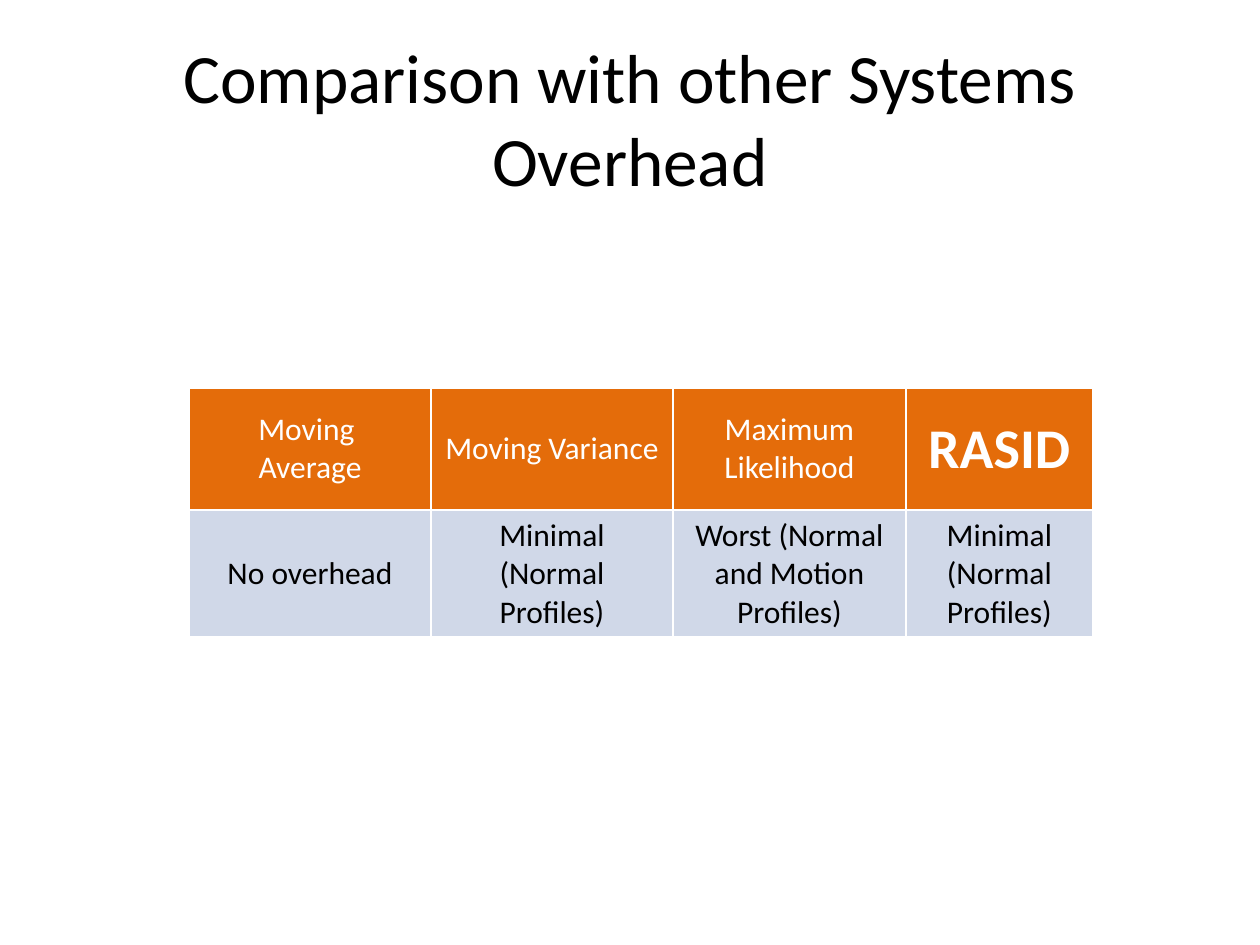
from lxml import etree
from pptx import Presentation
from pptx import util as u
from pptx.dml.color import RGBColor
from pptx.enum import text
from pptx.oxml.ns import qn

PX = u.Inches(1) // 126
COLORS = {"black": "000000", "white": "FFFFFF", "header": "E46C0A", "body": "D0D8E8"}


def style_text(frame, size, color, bold=False):
    frame.word_wrap = True
    frame.vertical_anchor = text.MSO_ANCHOR.MIDDLE
    for paragraph in frame.paragraphs:
        paragraph.alignment = text.PP_ALIGN.CENTER
        paragraph.font.name = "Calibri"
        paragraph.font.size = u.Pt(size)
        paragraph.font.bold = bold
        paragraph.font.color.rgb = RGBColor.from_string(COLORS[color])


def add_borders(cell, color, width):
    """Line all four sides; the lines must come before the cell's fill."""
    properties = cell._tc.get_or_add_tcPr()
    for index, side in enumerate(("lnL", "lnR", "lnT", "lnB")):
        line = etree.Element(qn(f"a:{side}"), w=str(u.Pt(width)))
        fill = etree.SubElement(line, qn("a:solidFill"))
        etree.SubElement(fill, qn("a:srgbClr"), val=COLORS[color])
        properties.insert(index, line)


deck = Presentation()
deck.slide_width = 1260 * PX
deck.slide_height = 945 * PX
page = deck.slides.add_slide(deck.slide_layouts[6])

title = page.shapes.add_textbox(63 * PX, 38 * PX, 1134 * PX, 158 * PX)
title.text_frame.text = "Comparison with other Systems\vOverhead"
style_text(title.text_frame, 39.6, "black")

rows = [
    ["Moving \vAverage", "Moving Variance", "Maximum Likelihood", "RASID"],
    ["No overhead", "Minimal (Normal Profiles)",
     "Worst (Normal and Motion Profiles)", "Minimal (Normal Profiles)"],
]
column_widths = [242, 242, 233, 187]
row_heights = [122, 127]

table = page.shapes.add_table(
    len(rows), len(column_widths), 189 * PX, 388 * PX,
    sum(column_widths) * PX, sum(row_heights) * PX,
).table
for column, width in zip(table.columns, column_widths):
    column.width = width * PX
for row, height in zip(table.rows, row_heights):
    row.height = height * PX

for row_index, labels in enumerate(rows):
    is_header = row_index == 0
    for column_index, label in enumerate(labels):
        cell = table.cell(row_index, column_index)
        cell.text = label
        emphasized = is_header and column_index == len(labels) - 1
        style_text(cell.text_frame, 32 if emphasized else 18,
                   "white" if is_header else "black", emphasized)
        cell.vertical_anchor = text.MSO_ANCHOR.MIDDLE
        cell.fill.solid()
        cell.fill.fore_color.rgb = RGBColor.from_string(
            COLORS["header" if is_header else "body"])
        add_borders(cell, "white", 1)

deck.save("out.pptx")
